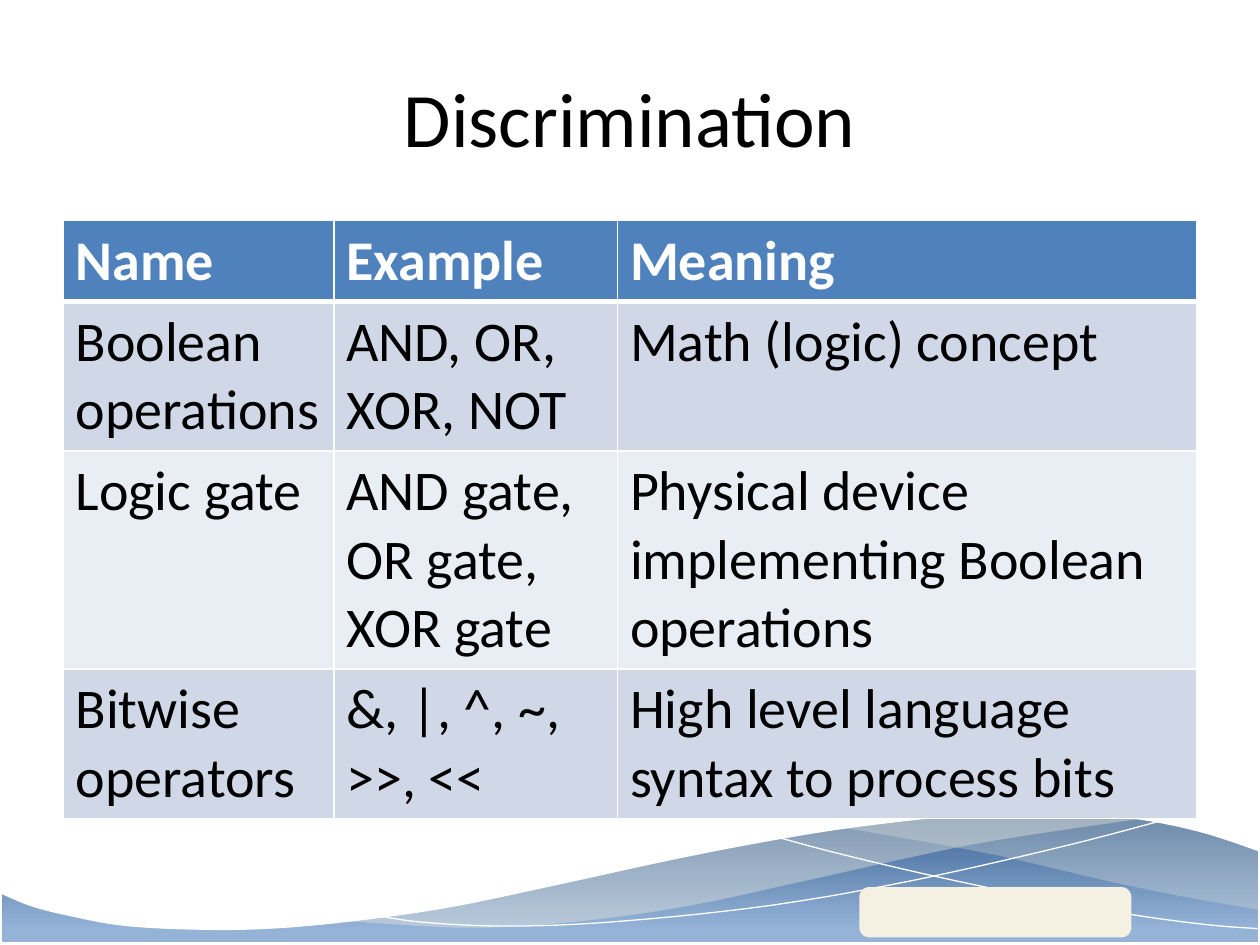
import lxml.etree
import pptx
import pptx.dml.color
import pptx.enum.dml
import pptx.enum.shapes
import pptx.enum.text
import pptx.oxml.ns
import pptx.util

Inches = pptx.util.Inches
qn = pptx.oxml.ns.qn

COLORS = {
    "white": "FFFFFF", "black": "000000", "header": "4F81BD",
    "band_dark": "D0D8E8", "band_light": "E9EDF4", "wave_top": "376092",
    "wave_bottom": "95B3D7", "veil": "EEECE1", "cream": "F4F1E3",
}

# Knots of the wave curves, in inches
VEIL_RIGHT = [
    [(9.99, 7.22), (9.41, 7.12), (8.78, 6.99), (7.92, 6.79), (7.16, 6.65), (6.69, 6.57)],
    [(6.69, 6.57), (7.29, 6.49), (7.82, 6.45), (8.29, 6.44), (8.8, 6.47),
     (9.25, 6.53), (9.64, 6.63), (9.99, 6.75)],
]
VEIL_LEFT = [
    [(9.12, 6.49), (8.22, 6.62), (7.53, 6.74), (6.35, 7), (5.57, 7.17), (4.88, 7.28),
     (4.16, 7.35), (3.54, 7.36), (2.76, 7.31)],
    [(2.76, 7.31), (3.55, 7.19), (4.47, 7), (5.31, 6.82), (6.06, 6.67), (6.73, 6.56),
     (7.33, 6.48), (7.86, 6.44), (8.33, 6.43), (8.75, 6.45), (9.12, 6.49)],
]
LINE_RISING = [(3, 7.27), (3.36, 7.32), (3.96, 7.35), (4.67, 7.33), (5.59, 7.25),
               (6.42, 7.14), (7.38, 6.96), (8.47, 6.71), (9.27, 6.5)]
LINE_FALLING = [(6.19, 6.65), (6.6, 6.76), (7.31, 6.93), (8.21, 7.12),
                (8.99, 7.26), (9.59, 7.34), (9.98, 7.37)]
CREST = [
    [(10, 6.76), (9.51, 6.6), (8.93, 6.49), (8.23, 6.45), (7.56, 6.48), (6.76, 6.57),
     (6.08, 6.68), (5.31, 6.83), (4.44, 7.02), (3.58, 7.2), (2.82, 7.31), (2.17, 7.37),
     (1.61, 7.38), (1, 7.35), (0.55, 7.27), (0.24, 7.19), (0, 7.09)],
    [(0, 5.93), (10, 5.93)],
]

ROWS = [
    ["Name", "Example", "Meaning"],
    ["Boolean operations", "AND, OR, XOR, NOT", "Math (logic) concept"],
    ["Logic gate", "AND gate, OR gate, XOR gate",
     "Physical device implementing Boolean operations"],
    ["Bitwise operators", "&, |, ^, ~, >>, <<",
     "High level language syntax to process bits"],
]


def smooth(knots, steps=6):
    """Return points on a Catmull-Rom curve through the knots."""
    if len(knots) < 3:
        return knots
    padded = [knots[0], *knots, knots[-1]]
    points = [knots[0]]
    for a, b, c, d in zip(padded, padded[1:], padded[2:], padded[3:]):
        for step in range(1, steps + 1):
            t = step / steps
            points.append(tuple(
                (2 * q + (r - p) * t + (2 * p - 5 * q + 4 * r - s) * t ** 2
                 + (3 * q - p - 3 * r + s) * t ** 3) / 2
                for p, q, r, s in zip(a, b, c, d)))
    return points


class SlideBuilder:
    font_name = "Calibri"

    def __init__(self, slide):
        self.slide = slide

    def color(self, name):
        return pptx.dml.color.RGBColor.from_string(COLORS[name])

    def format_text(self, paragraph, size, color, bold=False):
        values = {"name": self.font_name, "size": pptx.util.Pt(size), "bold": bold}
        for name, value in values.items():
            setattr(paragraph.font, name, value)
        paragraph.font.color.rgb = self.color(color)

    def title(self, text, left, top, width, height):
        shape = self.slide.shapes.title
        box = {"left": left, "top": top, "width": width, "height": height}
        for name, value in box.items():
            setattr(shape, name, Inches(value))
        shape.text_frame.text = text
        shape.text_frame.vertical_anchor = pptx.enum.text.MSO_ANCHOR.MIDDLE
        paragraph = shape.text_frame.paragraphs[0]
        paragraph.alignment = pptx.enum.text.PP_ALIGN.CENTER
        self.format_text(paragraph, 44, "black")

    def panel(self, left, top, width, height, adjustment):
        shape = self.slide.shapes.add_shape(
            pptx.enum.shapes.MSO_SHAPE.ROUNDED_RECTANGLE,
            *map(Inches, (left, top, width, height)))
        shape.adjustments[0] = adjustment
        shape.shadow.inherit = False
        shape.line.fill.background()
        return shape

    def gradient(self, shape, stops):
        shape.fill.gradient()
        shape.fill.gradient_angle = 270
        for stop, (position, color) in zip(shape.fill.gradient_stops, stops):
            stop.position = position
            stop.color.rgb = self.color(color)

    def solid(self, shape, color, opacity=100):
        shape.fill.solid()
        shape.fill.fore_color.rgb = self.color(color)
        if opacity < 100:
            element = shape._element.spPr.find(qn("a:solidFill"))[0]
            lxml.etree.SubElement(element, qn("a:alpha"), val=str(opacity * 1000))

    def outline(self, curves, close):
        points = [(Inches(x), Inches(y)) for curve in curves for x, y in smooth(curve)]
        builder = self.slide.shapes.build_freeform(*points[0])
        builder.add_line_segments(points[1:], close=close)
        shape = builder.convert_to_shape()
        shape.shadow.inherit = False
        return shape

    def area(self, curves, color, opacity=100):
        shape = self.outline(curves, True)
        self.solid(shape, color, opacity)
        shape.line.fill.background()

    def hairline(self, knots, color):
        shape = self.outline([knots], False)
        shape.fill.background()
        shape.line.color.rgb = self.color(color)
        shape.line.width = 0

    def border(self, cell, side, width):
        properties = cell._tc.get_or_add_tcPr()
        line = lxml.etree.SubElement(
            properties, qn("a:ln" + side), w=str(pptx.util.Pt(width)))
        fill = lxml.etree.SubElement(line, qn("a:solidFill"))
        lxml.etree.SubElement(fill, qn("a:srgbClr"), val=COLORS["white"])

    def table(self, rows, left, top, widths, heights):
        frame = self.slide.shapes.add_table(
            len(rows), len(widths), Inches(left), Inches(top),
            Inches(sum(widths)), Inches(sum(heights)))
        table = frame.table
        for column, width in zip(table.columns, widths):
            column.width = Inches(width)
        for row, height in zip(table.rows, heights):
            row.height = Inches(height)
        for row_index, texts in enumerate(rows):
            header = row_index == 0
            band = "band_dark" if row_index % 2 else "band_light"
            borders = {"L": 1, "R": 1, "T": 3 if row_index == 1 else 1,
                       "B": 3 if header else 1}
            for column_index, text in enumerate(texts):
                cell = table.cell(row_index, column_index)
                for side, width in borders.items():
                    self.border(cell, side, width)
                self.solid(cell, "header" if header else band)
                cell.text = text
                self.format_text(cell.text_frame.paragraphs[0], 32,
                                 "white" if header else "black", header)


def main():
    presentation = pptx.Presentation()
    presentation.slide_width = Inches(10)
    presentation.slide_height = Inches(7.5)
    builder = SlideBuilder(presentation.slides.add_slide(presentation.slide_layouts[5]))

    # Wave along the bottom
    water = builder.panel(0.02, 6.43, 9.97, 1.05, 0.03)
    builder.gradient(water, [(0, "wave_top"), (0.9, "wave_bottom")])
    builder.area(VEIL_RIGHT, "veil", 29)
    builder.area(VEIL_LEFT, "veil", 40)
    for knots in (LINE_RISING, LINE_FALLING):
        builder.hairline(knots, "white")
    builder.area(CREST, "white")

    # Plain badge on the wave
    badge = builder.panel(6.82, 7.04, 2.16, 0.4, 0.2)
    builder.solid(badge, "cream")

    # Title and comparison table
    builder.table(ROWS, 0.5, 1.75, [2.15, 2.25, 4.6], [0.63, 1.17, 1.7, 1.17])
    builder.title("Discrimination", 0.5, 0.3, 9, 1.25)

    presentation.save("out.pptx")


if __name__ == "__main__":
    main()
